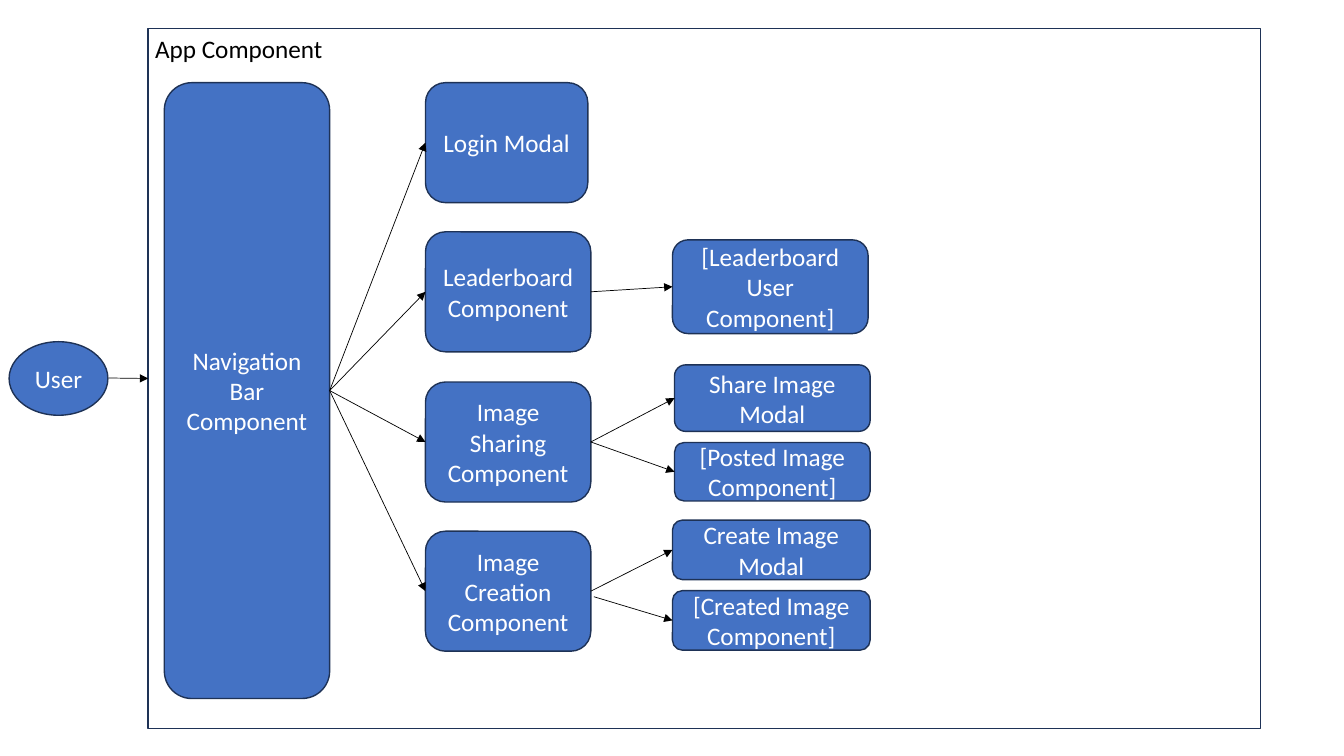
"""Builds a component diagram of an app: navigation bar, pages and their children."""
from pptx import Presentation
from pptx.dml.color import RGBColor
from pptx.enum.shapes import MSO_CONNECTOR as CONNECTOR, MSO_SHAPE as SHAPE
from pptx.enum.text import MSO_ANCHOR as ANCHOR, MSO_AUTO_SIZE as AUTO_SIZE, PP_ALIGN as ALIGN
from pptx.oxml.ns import qn
from pptx.util import Inches, Pt
from lxml.etree import SubElement

COLORS = {"fill": "4472C4", "outline": "1E3256", "light": "FFFFFF", "dark": "000000"}
RGB = {name: RGBColor.from_string(value) for name, value in COLORS.items()}

prs = Presentation()
prs.slide_width, prs.slide_height = Inches(13.33), Inches(7.5)
s = prs.slides.add_slide(prs.slide_layouts[6])


def add_box(kind, left, top, width, height, text=""):
    sp = s.shapes.add_shape(kind, Inches(left), Inches(top), Inches(width), Inches(height))
    sp.shadow.inherit = False
    sp.fill.solid()
    sp.fill.fore_color.rgb = RGB["fill"]
    sp.line.color.rgb = RGB["outline"]
    sp.line.width = Pt(1)
    tf = sp.text_frame
    tf.word_wrap = True
    tf.vertical_anchor = ANCHOR.MIDDLE
    tf.text = text
    for p in tf.paragraphs:
        p.alignment = ALIGN.CENTER
        p.font.name, p.font.size = "Calibri", Pt(18)
        p.font.color.rgb = RGB["light"]
    return sp


def add_arrow(x1, y1, x2, y2):
    line = s.shapes.add_connector(CONNECTOR.STRAIGHT, Inches(x1), Inches(y1), Inches(x2), Inches(y2))
    line.line.color.rgb = RGB["dark"]
    line.line.width = Pt(0.5)
    SubElement(line.line._get_or_add_ln(), qn("a:tailEnd"), type="triangle")
    SubElement(line._element.spPr, qn("a:effectLst"))
    return line


app = add_box(SHAPE.RECTANGLE, 1.47, 0.28, 11.03, 6.95)
app.fill.background()

title = s.shapes.add_textbox(Inches(1.44), Inches(0.28), Inches(2.78), Inches(0.4))
tf = title.text_frame
tf.word_wrap = True
tf.auto_size = AUTO_SIZE.SHAPE_TO_FIT_TEXT
tf.text = "App Component"
p = tf.paragraphs[0]
p.font.name, p.font.size = "Calibri", Pt(18)
p.font.color.rgb = RGB["dark"]

add_box(SHAPE.OVAL, 0.09, 3.39, 0.98, 0.73, "User")
add_arrow(1.08, 3.75, 1.47, 3.75).end_connect(app, 1)

navigation = add_box(SHAPE.ROUNDED_RECTANGLE, 1.63, 0.82, 1.64, 6.11, "Navigation Bar Component")

PAGES = [
    ("Login Modal", 1.61, []),
    ("Leaderboard\nComponent", 1.64, [
        ("[Leaderboard User Component]", 6.67, 2.38, 1.94, 0.93),
    ]),
    ("Image Sharing Component", 1.64, [
        ("Share Image Modal", 6.69, 3.62, 1.94, 0.66),
        ("[Posted Image Component]", 6.69, 4.39, 1.94, 0.58),
    ]),
    ("Image Creation\nComponent", 1.64, [
        ("Create Image Modal", 6.67, 5.16, 1.96, 0.59),
        ("[Created Image Component]", 6.67, 5.86, 1.96, 0.59),
    ]),
]
PAGE_LEFT, PAGE_TOP, PAGE_HEIGHT, PAGE_PITCH = 4.22, 0.82, 1.19, 1.483

for row, (page_text, page_width, children) in enumerate(PAGES):
    top = round(PAGE_TOP + row * PAGE_PITCH, 2)
    page = add_box(SHAPE.ROUNDED_RECTANGLE, PAGE_LEFT, top, page_width, PAGE_HEIGHT, page_text)
    arrow = add_arrow(3.26, 3.88, PAGE_LEFT, top + PAGE_HEIGHT / 2)
    arrow.begin_connect(navigation, 3)
    arrow.end_connect(page, 1)
    for child_text, *place in children:
        child = add_box(SHAPE.ROUNDED_RECTANGLE, *place, child_text)
        arrow = add_arrow(5.89, 5.92, 6.67, 6.16)
        if child_text != "[Created Image Component]":
            arrow.begin_connect(page, 3)
        arrow.end_connect(child, 1)

prs.save("out.pptx")
